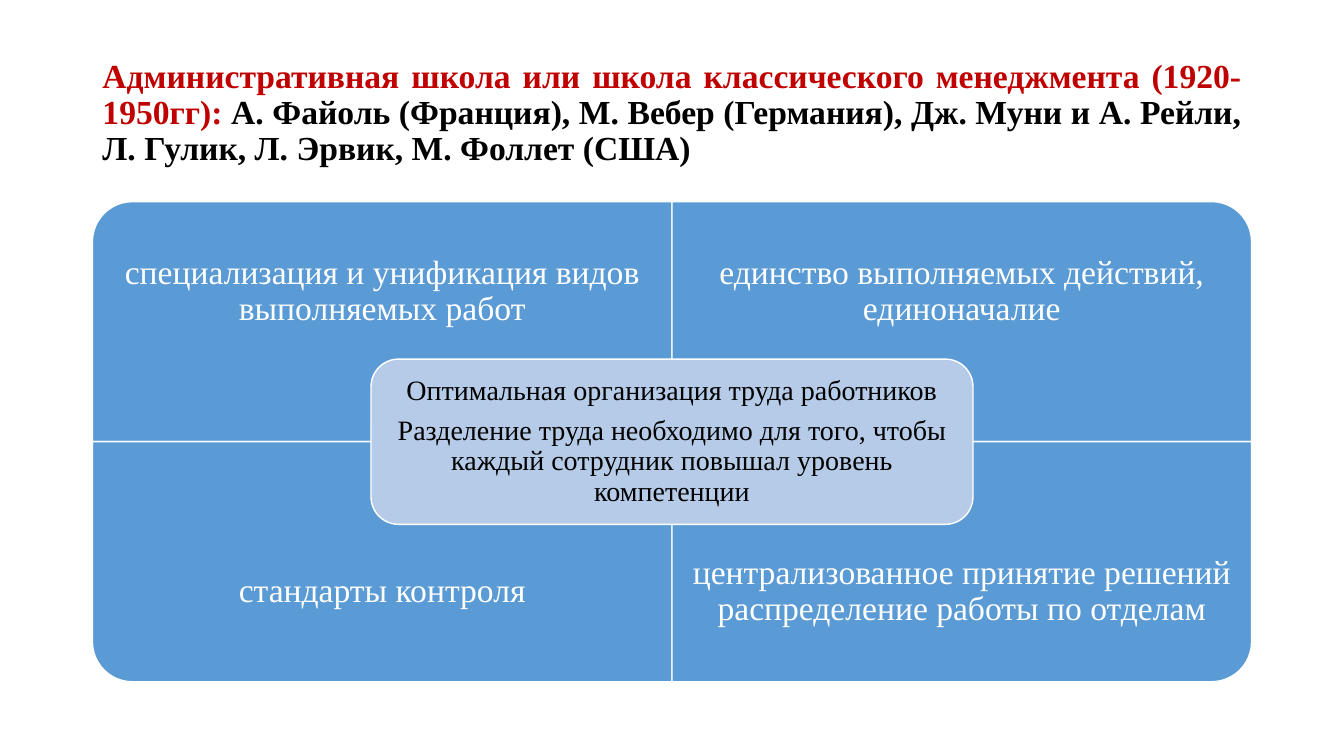
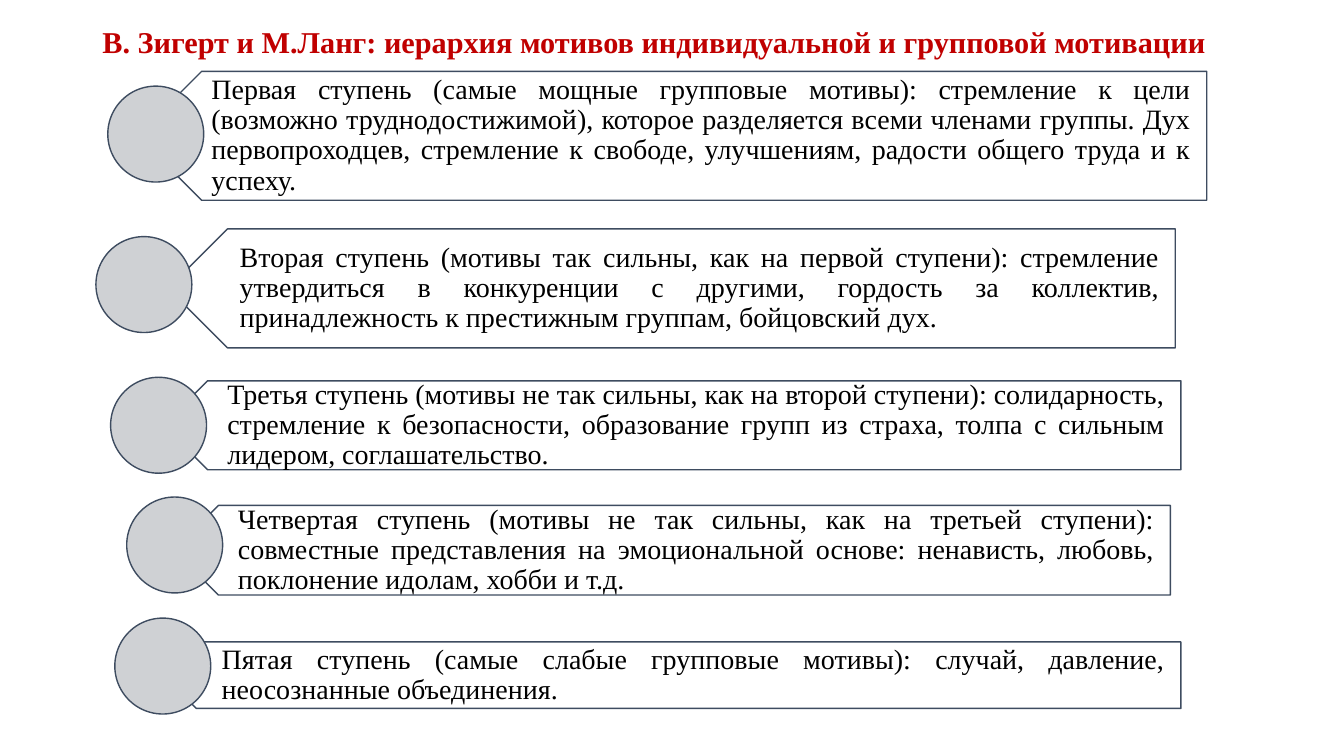
from pptx import Presentation
from pptx.dml.color import RGBColor
from pptx.enum.shapes import MSO_SHAPE as Shape
from pptx.enum.text import MSO_ANCHOR as Anchor, MSO_AUTO_SIZE as AutoSize, PP_ALIGN as Align
from pptx.util import Pt

# Shared style
FONT = "Times New Roman"
RED, BLACK, WHITE = "C00000", "000000", "FFFFFF"
BLUE, PALE_BLUE = "5B9BD5", "B5CBE7"
GREY, SLATE = "CFD1D4", "3E4C60"
MARGIN, CONTENT_WIDTH = 66, 828

# Content: administrative school
SCHOOL_TITLE = [
    ("Административная школа или школа классического менеджмента (1920-1950гг): ", RED),
    ("А. Файоль (Франция), М. Вебер (Германия), Дж. Муни и А. Рейли, "
     "Л. Гулик, Л. Эрвик, М. Фоллет (США)", BLACK),
]
# text, column, row, rotation that turns the round corner outwards
PRINCIPLES = [
    ("специализация и унификация видов выполняемых работ", 0, 0, 270),
    ("единство выполняемых действий, единоначалие", 1, 0, 0),
    ("стандарты контроля", 0, 1, 180),
    ("централизованное принятие решений распределение работы по отделам", 1, 1, 90),
]
CORE_IDEA = [
    "Оптимальная организация труда работников",
    "Разделение труда необходимо для того, чтобы каждый сотрудник "
    "повышал уровень компетенции",
]

# Content: hierarchy of motives
MOTIVES_TITLE = "В. Зигерт и М.Ланг: иерархия мотивов индивидуальной и групповой мотивации"
# text, plate (left, top, width, height), circle (left, top)
STEPS = [
    ("Первая ступень (самые мощные групповые мотивы): стремление к цели (возможно "
     "труднодостижимой), которое разделяется всеми членами группы. Дух первопроходцев, "
     "стремление к свободе, улучшениям, радости общего труда и к успеху.",
     (98, 51, 764, 92), (77, 61.5)),
    ("Вторая ступень (мотивы так сильны, как на первой ступени): стремление утвердиться "
     "в конкуренции с другими, гордость за коллектив, принадлежность к престижным "
     "группам, бойцовский дух.",
     (120, 163.5, 719.5, 85), (68.5, 169)),
    ("Третья ступень (мотивы не так сильны, как на второй ступени): солидарность, "
     "стремление к безопасности, образование групп из страха, толпа с сильным лидером, "
     "соглашательство.",
     (116.5, 272, 727, 63.5), (79, 269.5)),
    ("Четвертая ступень (мотивы не так сильны, как на третьей ступени): совместные "
     "представления на эмоциональной основе: ненависть, любовь, поклонение идолам, "
     "хобби и т.д.",
     (124, 361, 712, 64), (90.5, 355)),
    ("Пятая ступень (самые слабые групповые мотивы): случай, давление, "
     "неосознанные объединения.",
     (116.5, 458.5, 727, 47.5), (82, 441.5)),
]
CIRCLE = 68.5


def rgb(color):
    return RGBColor.from_string(color)


def write(shape, paragraphs, size=20, color=BLACK, bold=False, align=Align.CENTER,
          insets=(6, 6, 6, 6), after=0.35):
    """Fill a shape with paragraphs, each a string or a list of (text, color) runs."""
    frame = shape.text_frame
    frame.word_wrap = True
    frame.auto_size = AutoSize.NONE
    frame.vertical_anchor = Anchor.MIDDLE
    (frame.margin_left, frame.margin_top,
     frame.margin_right, frame.margin_bottom) = map(Pt, insets)
    for i, content in enumerate(paragraphs):
        paragraph = frame.add_paragraph() if i else frame.paragraphs[0]
        paragraph.alignment = align
        paragraph.line_spacing = 0.9
        paragraph.space_before = Pt(0)
        paragraph.space_after = Pt(size * after)
        runs = [(content, color)] if isinstance(content, str) else content
        for text, run_color in runs:
            run = paragraph.add_run()
            run.text = text
            run.font.name = FONT
            run.font.size = Pt(size)
            run.font.bold = bold
            run.font.color.rgb = rgb(run_color)


def add_shape(slide, kind, box, fill, line, rotation=0):
    shape = slide.shapes.add_shape(kind, *map(Pt, box))
    shape.rotation = rotation
    shape.shadow.inherit = False
    shape.fill.solid()
    shape.fill.fore_color.rgb = rgb(fill)
    shape.line.color.rgb = rgb(line)
    shape.line.width = Pt(1)
    return shape


def add_text(slide, box, text, **style):
    write(slide.shapes.add_textbox(*map(Pt, box)), [text], **style)


def add_titled_slide(deck, title, top, height, **style):
    slide = deck.slides.add_slide(deck.slide_layouts[5])
    heading = slide.shapes.title
    heading.left, heading.top, heading.width, heading.height = map(
        Pt, (MARGIN, top, CONTENT_WIDTH, height))
    write(heading, [title], color=RED, bold=True, insets=(7.2, 3.6, 7.2, 3.6),
          after=0, **style)
    return slide


def build_school(deck):
    slide = add_titled_slide(deck, SCHOOL_TITLE, 29, 104, size=24, align=Align.JUSTIFY)
    top, width, height = 144, CONTENT_WIDTH / 2, 171.5

    # Four quadrants: a rotated shape with upright text over it
    for text, column, row, rotation in PRINCIPLES:
        x, y = MARGIN + column * width, top + row * height
        # A quarter turn swaps the sides around the same centre
        w, h = (height, width) if rotation % 180 else (width, height)
        box = (x + (width - w) / 2, y + (height - h) / 2, w, h)
        add_shape(slide, Shape.ROUND_1_RECTANGLE, box, BLUE, WHITE, rotation)
        add_text(slide, (x, y + row * height / 4, width, height * 3 / 4), text,
                 size=24, color=WHITE, insets=(13.5,) * 4)

    # Core idea where the quadrants meet
    core_width, core_height = 430, 118
    core = add_shape(slide, Shape.ROUNDED_RECTANGLE,
                     (MARGIN + width - core_width / 2, top + height - core_height / 2,
                      core_width, core_height), PALE_BLUE, WHITE)
    write(core, CORE_IDEA)


def build_motives(deck):
    slide = add_titled_slide(deck, MOTIVES_TITLE, 12, 38, size=21.6, align=Align.LEFT)
    for text, plate, circle in STEPS:
        left, top, width, height = plate
        add_shape(slide, Shape.PENTAGON, plate, WHITE, SLATE, rotation=180)
        tip = height / 4
        add_text(slide, (left + tip, top, width - tip, height), text,
                 align=Align.JUSTIFY, insets=(30, 6, 11.5, 6))
        add_shape(slide, Shape.OVAL, (*circle, CIRCLE, CIRCLE), GREY, SLATE)


def main():
    deck = Presentation()
    deck.slide_width, deck.slide_height = Pt(960), Pt(540)
    build_school(deck)
    build_motives(deck)
    deck.save("out.pptx")


if __name__ == "__main__":
    main()
